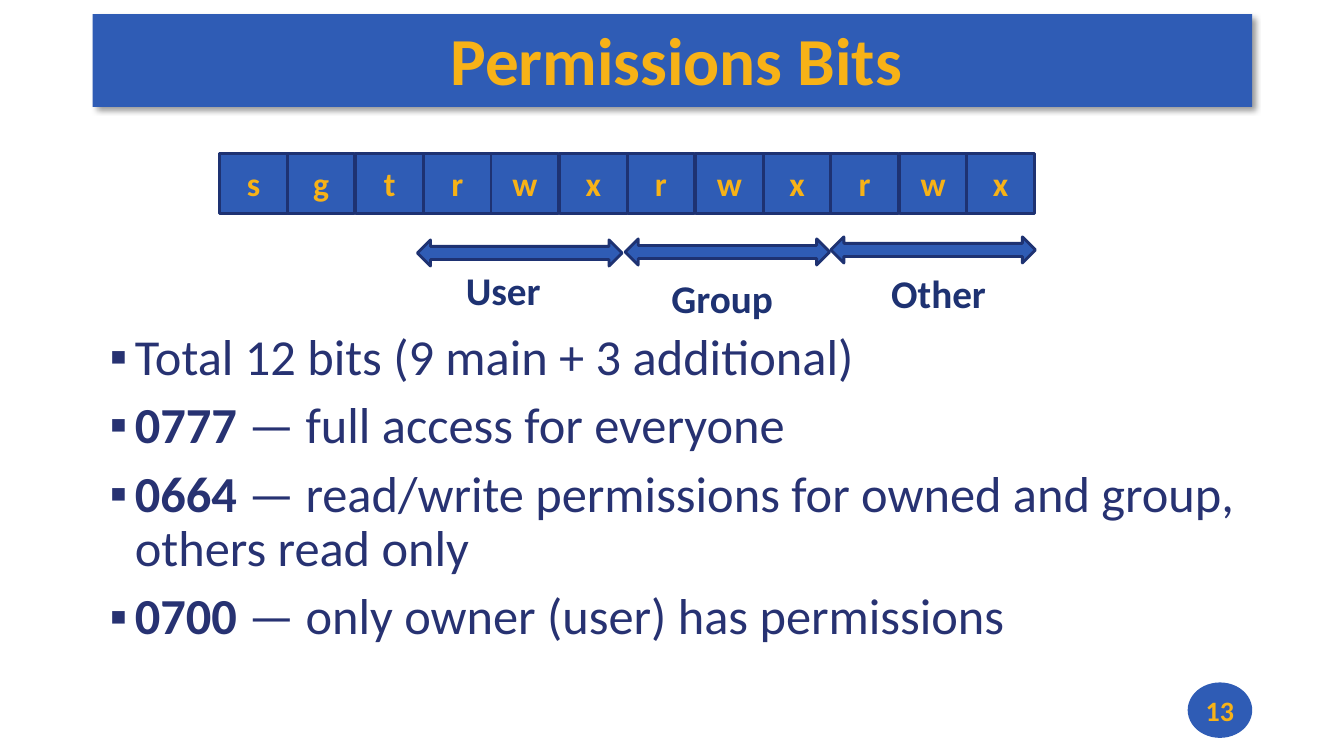
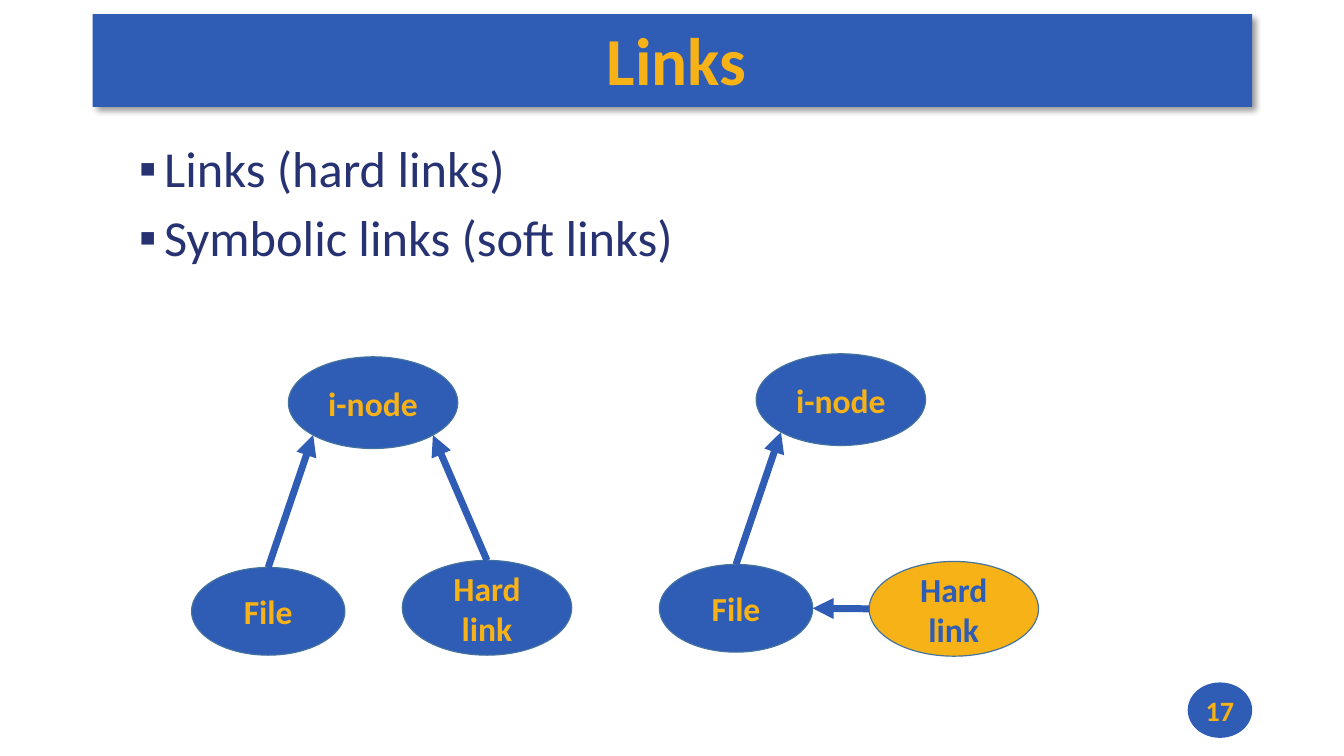
from math import cos, radians, sin

from lxml import etree
from pptx import Presentation
from pptx.dml.color import RGBColor
from pptx.enum.shapes import MSO_CONNECTOR, MSO_SHAPE
from pptx.enum.text import MSO_ANCHOR, PP_ALIGN
from pptx.oxml.ns import qn
from pptx.util import Pt

PX = 9144
FONT = "Calibri"
COLORS = {
    "blue": "2F5CB5",
    "gold": "F7B217",
    "navy": "1E3272",
    "text": "273272",
    "rim": "43739E",
    "shadow": "000000",
}

RECT = MSO_SHAPE.RECTANGLE
OVAL = MSO_SHAPE.OVAL
DOUBLE_ARROW = MSO_SHAPE.LEFT_RIGHT_ARROW
STRAIGHT = MSO_CONNECTOR.STRAIGHT
CENTER = PP_ALIGN.CENTER
LEFT = PP_ALIGN.LEFT
MIDDLE = MSO_ANCHOR.MIDDLE
TOP = MSO_ANCHOR.TOP

DEFAULT_INSETS = (10, 5, 10, 5)
TITLE_INSETS = (8, 3, 0, 3)
SITE_ANGLES = {
    "top": 270,
    "top left": 225,
    "left": 180,
    "bottom left": 135,
    "bottom": 90,
    "bottom right": 45,
    "right": 0,
    "top right": 315,
}
SITES = list(SITE_ANGLES)


def rgb(color):
    return RGBColor.from_string(COLORS[color])


def emu(box):
    return [round(length * PX) for length in box]


def add_run(paragraph, text, size, color, bold):
    run = paragraph.add_run()
    run.text = text
    run.font.name = FONT
    run.font.size = Pt(size)
    run.font.bold = bold
    run.font.color.rgb = rgb(color)


def set_frame(shape, insets=DEFAULT_INSETS, anchor=MIDDLE):
    frame = shape.text_frame
    frame.word_wrap = True
    frame.vertical_anchor = anchor
    (frame.margin_left, frame.margin_top,
     frame.margin_right, frame.margin_bottom) = emu(insets)
    return frame


def write_line(shape, text, size, color="gold", align=CENTER, insets=DEFAULT_INSETS):
    paragraph = set_frame(shape, insets).paragraphs[0]
    paragraph.alignment = align
    add_run(paragraph, text, size, color, True)


def add_figure(slide, kind, box, fill="blue", line=None, width=0):
    figure = slide.shapes.add_shape(kind, *emu(box))
    figure.shadow.inherit = False
    figure.fill.solid()
    figure.fill.fore_color.rgb = rgb(fill)
    if line:
        figure.line.color.rgb = rgb(line)
        figure.line.width = Pt(width)
    else:
        figure.line.fill.background()
    return figure


def add_drop_shadow(figure):
    effects = figure._element.spPr.find(qn("a:effectLst"))
    shadow = etree.SubElement(
        effects, qn("a:outerShdw"), blurRad=str(Pt(4)), dist=str(Pt(3)),
        dir="2700000", algn="tl", rotWithShape="0")
    color = etree.SubElement(shadow, qn("a:srgbClr"), val=COLORS["shadow"])
    etree.SubElement(color, qn("a:alpha"), val="40000")


def add_label(slide, text, box, size, color, align=LEFT):
    label = slide.shapes.add_textbox(*emu(box))
    write_line(label, text, size, color, align, TITLE_INSETS)


def add_bullets(slide, box, items):
    frame = set_frame(slide.shapes.add_textbox(*emu(box)), anchor=TOP)
    for index, (lead, rest) in enumerate(items):
        paragraph = frame.add_paragraph() if index else frame.paragraphs[0]
        properties = paragraph._p.get_or_add_pPr()
        properties.set("marL", str(25 * PX))
        properties.set("indent", str(-25 * PX))
        etree.SubElement(properties, qn("a:buFont"), typeface="Arial")
        etree.SubElement(properties, qn("a:buChar"), char="▪")
        paragraph.line_spacing = 0.9
        if index:
            paragraph.space_before = Pt(10)
        if lead:
            add_run(paragraph, lead, 36, "text", True)
        add_run(paragraph, rest, 36, "text", False)


def add_node(slide, text, box, fill="blue", color="gold"):
    node = add_figure(slide, OVAL, box, fill, "rim", 0.85)
    write_line(node, text, 24, color)
    return node


def site_point(node, site):
    angle = radians(SITE_ANGLES[site])
    x = node.left + node.width / 2 * (1 + cos(angle))
    y = node.top + node.height / 2 * (1 + sin(angle))
    return round(x), round(y)


def add_arrow(slide, source, source_site, target, target_site):
    arrow = slide.shapes.add_connector(
        STRAIGHT, *site_point(source, source_site), *site_point(target, target_site))
    arrow.line.color.rgb = rgb("blue")
    arrow.line.width = Pt(5)
    etree.SubElement(arrow.line._get_or_add_ln(), qn("a:tailEnd"), type="triangle")
    etree.SubElement(arrow._element.spPr, qn("a:effectLst"))
    glue = arrow._element.find(".//" + qn("p:cNvCxnSpPr"))
    ends = (("a:stCxn", source, source_site), ("a:endCxn", target, target_site))
    for tag, node, site in ends:
        etree.SubElement(glue, qn(tag), id=str(node.shape_id), idx=str(SITES.index(site)))


def start_slide(deck, title, number):
    slide = deck.slides.add_slide(deck.slide_layouts[6])
    add_drop_shadow(add_figure(slide, RECT, (92, 14, 1150, 92)))
    add_label(slide, title, (92, 12, 1150, 92), 48, "gold", CENTER)
    badge = add_figure(slide, OVAL, (1178, 677, 64, 55))
    write_line(badge, number, 20, insets=(0, 0, 0, 0))
    return slide


def build_permissions(deck):
    slide = start_slide(deck, "Permissions Bits", "13")
    add_bullets(slide, (99, 324, 1150, 405), [
        ("", "Total 12 bits (9 main + 3 additional)"),
        ("0777 ", "— full access for everyone"),
        ("0664 ", "— read/write permissions for owned and group, others read only"),
        ("0700 ", "— only owner (user) has permissions"),
    ])
    bits = "sgt" + "rwx" * 3
    for index, bit in enumerate(bits):
        left = 218 + round(741 * index / (len(bits) - 1))
        cell = add_figure(slide, RECT, (left, 152, 67, 60), "blue", "navy", 2)
        write_line(cell, bit, 24)
    classes = [
        ("User", (414, 238), (454, 272, 99, 31)),
        ("Group", (620, 237), (658, 279, 124, 32)),
        ("Other", (824, 235), (876, 278, 127, 25)),
    ]
    for name, span_corner, label_box in classes:
        add_figure(slide, DOUBLE_ARROW, (*span_corner, 203, 26), "blue", "navy", 2)
        add_label(slide, name, label_box, 28, "navy")


def add_file_and_inode(slide, left, top):
    inode = add_node(slide, "i-node", (left + 96, top, 168, 91))
    file = add_node(slide, "File", (left, top + 209, 152, 87))
    add_arrow(slide, file, "top", inode, "bottom left")
    return inode, file


def build_links(deck):
    slide = start_slide(deck, "Links", "17")
    add_bullets(slide, (128, 138, 1150, 161), [
        ("", "Links (hard links)"),
        ("", "Symbolic links (soft links)"),
    ])
    inode, _ = add_file_and_inode(slide, 190, 354)
    hard_link = add_node(slide, "Hard link", (399, 556, 168, 94))
    add_arrow(slide, hard_link, "top", inode, "bottom right")

    _, file = add_file_and_inode(slide, 654, 351)
    soft_link = add_node(slide, "Hard link", (862, 557, 168, 94), "gold", "blue")
    add_arrow(slide, soft_link, "left", file, "right")


def main():
    deck = Presentation()
    deck.slide_width, deck.slide_height = emu((1333, 750))
    build_permissions(deck)
    build_links(deck)
    deck.save("out.pptx")


if __name__ == "__main__":
    main()
